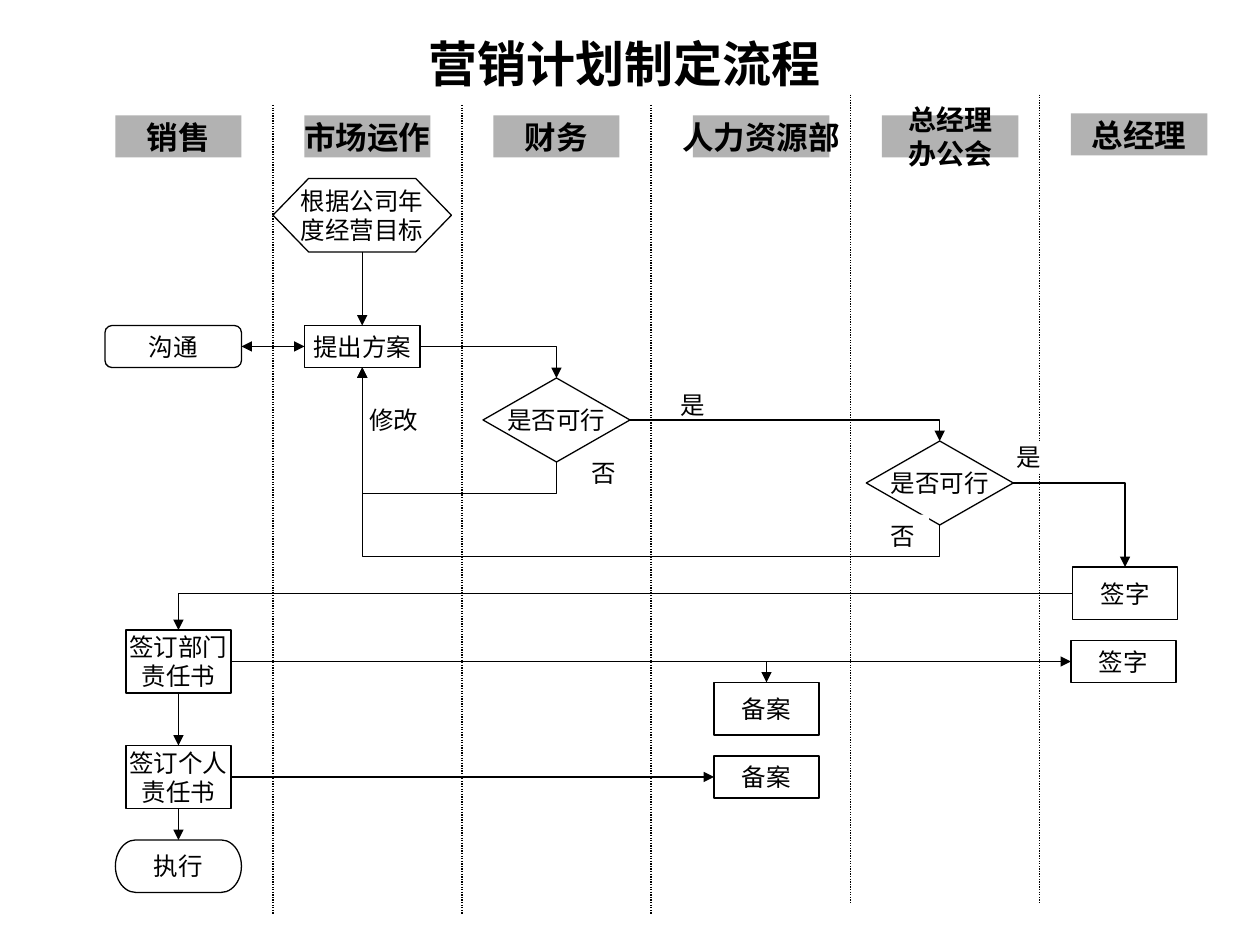
from lxml import etree
from pptx import Presentation
from pptx import util as u
from pptx.dml.color import RGBColor
from pptx.enum import dml, shapes, text
from pptx.oxml.ns import qn

FONT, BLACK, WHITE, GREY = "Times New Roman", "000000", "FFFFFF", "B2B2B2"
CELL = 1 / 12  # grid step in inches; all places below count in cells
TOP, LEFT, BOTTOM, RIGHT = range(4)
KIND = shapes.MSO_SHAPE

TITLE = ("营销计划制定流程", 24, 2, 71, 8)
# label, column, row, width, size
HEADS = [
    ("销售", 11, 11, 12, 18),
    ("市场运作", 29, 11, 12, 18),
    ("财务", 47, 11, 12, 18),
    ("人力资源部", 66, 11, 13, 18),
    ("总经理\n办公会", 84, 11, 13, 16),
    ("总经理", 102, 10.8, 13, 18),
]
# column, first row; each is 77 cells long
LANES = [(26, 10), (44, 10), (62, 10), (81, 9), (99, 9)]
# name: label, shape, column, row, width, height
NODES = {
    "goal": ("根据公司年\n度经营目标", KIND.FLOWCHART_PREPARATION, 26, 17, 17, 7),
    "talk": ("沟通", KIND.FLOWCHART_ALTERNATE_PROCESS, 10, 31, 13, 4),
    "plan": ("提出方案", KIND.RECTANGLE, 29, 31, 11, 4),
    "check": ("是否可行", KIND.DIAMOND, 46, 36, 14, 8),
    "board": ("是否可行", KIND.DIAMOND, 82.5, 42, 14, 8),
    "sign": ("签字", KIND.RECTANGLE, 102.15, 54, 10, 5),
    "dept": ("签订部门\n责任书", KIND.RECTANGLE, 12, 60, 10, 6),
    "sign2": ("签字", KIND.RECTANGLE, 102, 61, 10, 4),
    "file": ("备案", KIND.RECTANGLE, 68, 65, 10, 5),
    "staff": ("签订个人\n责任书", KIND.RECTANGLE, 12, 71, 10, 6),
    "file2": ("备案", KIND.RECTANGLE, 68, 72, 10, 4),
    "run": ("执行", KIND.FLOWCHART_TERMINATOR, 11, 80, 12, 5),
}
# label, column, row, width, height
NOTES = [
    ("否", 55, 43, 5, 4),
    ("否", 83.5, 49, 5, 4),
    ("是", 96, 42, 4, 3),
    ("是", 64, 37, 4, 3),
]
EDIT = ("修改", 34, 38, 8, 4)
# from, side, to, side
STRAIGHT = [
    ("goal", BOTTOM, "plan", TOP),
    ("plan", LEFT, "talk", RIGHT),
    ("dept", BOTTOM, "staff", TOP),
    ("staff", BOTTOM, "run", TOP),
    ("staff", RIGHT, "file2", LEFT),
    ("dept", RIGHT, "sign2", LEFT),
]
BENT = [
    ("plan", RIGHT, "check", TOP),
    ("check", RIGHT, "board", TOP),
    ("board", RIGHT, "sign", TOP),
    ("sign", LEFT, "dept", TOP),
    ("dept", RIGHT, "file", TOP),
]
LOOPS = ["check", "board"]  # back to the plan
DROP = 3  # cells a loop goes down first


def cells(*nums):
    return [u.Inches(n * CELL) for n in nums]


def rgb(code):
    return RGBColor.from_string(code)


def write(shape, label, size=14, bold=False, align=text.PP_ALIGN.CENTER,
          anchor=text.MSO_ANCHOR.MIDDLE, wrap=False):
    frame = shape.text_frame
    frame.text = label
    form = dict(word_wrap=wrap, auto_size=text.MSO_AUTO_SIZE.NONE,
                vertical_anchor=anchor)
    for key, val in form.items():
        setattr(frame, key, val)
    for para in frame.paragraphs:
        para.alignment = align
        for key, val in dict(name=FONT, size=u.Pt(size), bold=bold).items():
            setattr(para.font, key, val)
        para.font.color.rgb = rgb(BLACK)


def stroke(item):
    item.line.color.rgb = rgb(BLACK)
    item.line.width = u.Pt(0.75)


def block(kind, label, box, fill=WHITE, edge=False, **form):
    shape = page.shapes.add_shape(kind, *cells(*box))
    shape.shadow.inherit = False
    shape.fill.solid()
    shape.fill.fore_color.rgb = rgb(fill)
    if edge:
        stroke(shape)
    else:
        shape.line.fill.background()
    write(shape, label, **form)
    return shape


def wire(kind, *ends):
    link = page.shapes.add_connector(kind, *cells(*ends))
    stroke(link)
    etree.SubElement(link._element.spPr, qn("a:effectLst"))
    return link


def tip(link, *ends):
    """Put arrowheads on the named ends."""
    for end in ends:
        etree.SubElement(link.line._get_or_add_ln(), qn("a:" + end),
                         type="triangle")


def join(kind, start, side, goal, port):
    link = wire(kind, 0, 0, 0, 0)
    link.begin_connect(made[start], side)
    link.end_connect(made[goal], port)
    tip(link, *(["headEnd", "tailEnd"] if goal == "talk" else ["tailEnd"]))
    return link


def loop(start):
    """Run from a bottom side down, left and up to the plan."""
    link = join(shapes.MSO_CONNECTOR.ELBOW, start, BOTTOM, "plan", BOTTOM)
    wide, high = link.width, link.height
    midx, midy = link.left + wide // 2, link.top + high // 2
    # the shape is stored lying down, then turned a quarter
    link.left, link.top = midx - high // 2, midy - wide // 2
    link.width, link.height = high, wide
    frame = link._element.spPr.find(qn("a:xfrm"))
    frame.attrib.pop("flipH", None)
    frame.set("rot", "16200000")
    frame.set("flipV", "1")
    geom = link._element.spPr.find(qn("a:prstGeom"))
    guides = geom.get_or_add_avLst()
    bend = -round(100000 * cells(DROP)[0] / high)
    etree.SubElement(guides, qn("a:gd"), name="adj1", fmla=f"val {bend}")


deck = Presentation()
deck.slide_width, deck.slide_height = u.Inches(10), u.Inches(7.5)
page = deck.slides.add_slide(deck.slide_layouts[5])

name, *box = TITLE
head = page.shapes.title
head.left, head.top, head.width, head.height = cells(*box)
write(head, name, size=28, bold=True, wrap=True)

for label, col, row, wide, size in HEADS:
    block(KIND.RECTANGLE, label, (col, row, wide, 4), GREY, size=size, bold=True)
for col, row in LANES:
    lane = wire(shapes.MSO_CONNECTOR.STRAIGHT, col, row, col, row + 77)
    lane.line.dash_style = dml.MSO_LINE.ROUND_DOT

made = {key: block(kind, label, box, edge=True)
        for key, (label, kind, *box) in NODES.items()}
for label, *box in NOTES:
    block(KIND.RECTANGLE, label, box)
label, *box = EDIT
write(page.shapes.add_textbox(*cells(*box)), label, wrap=True,
      align=text.PP_ALIGN.LEFT, anchor=text.MSO_ANCHOR.TOP)

for ends in STRAIGHT:
    join(shapes.MSO_CONNECTOR.STRAIGHT, *ends)
for ends in BENT:
    link = join(shapes.MSO_CONNECTOR.ELBOW, *ends)
    link._element.spPr.find(qn("a:prstGeom")).set("prst", "bentConnector2")
for start in LOOPS:
    loop(start)

deck.save("out.pptx")
